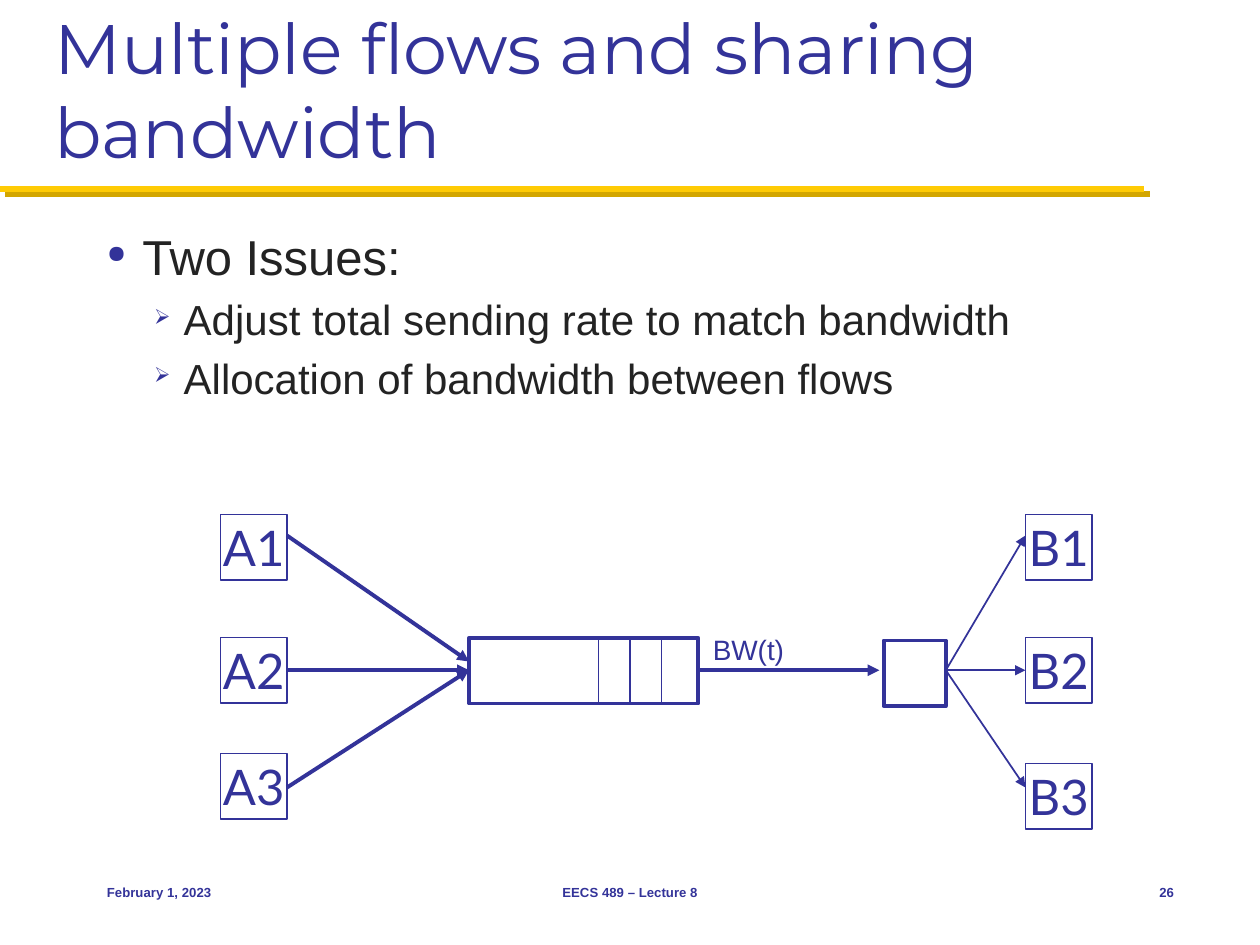
from dataclasses import dataclass
from lxml.etree import SubElement
from pptx import Presentation
from pptx.dml.color import RGBColor
from pptx.enum.shapes import MSO_CONNECTOR, MSO_SHAPE
from pptx.enum.text import MSO_ANCHOR, PP_ALIGN
from pptx.oxml.ns import qn
from pptx.util import Pt

COLORS = {"navy": "333399", "text": "232323", "gold": "FFCB05",
          "dark_gold": "D3A600", "white": "FFFFFF"}
HOST_W, BOX_H = 38, 37.5
SENDER_X, RECEIVER_X = 126, 586
QUEUE_X, QUEUE_W = 268, 131
ROUTER_X, ROUTER_W = 505, 35.5
MID_Y = 383


@dataclass
class Host:
    """A sender or receiver box."""
    name: str
    x: float
    y: float


@dataclass
class Line:
    """A straight line, with or without an arrowhead."""
    x1: float
    y1: float
    x2: float
    y2: float
    width: float = 2.25
    color: str = "navy"
    arrow: bool = True


@dataclass
class Label:
    """A text box holding one run."""
    text: str
    x: float
    y: float
    w: float
    h: float
    size: float
    font: str = "Arial"
    bold: bool = False
    align: PP_ALIGN = PP_ALIGN.LEFT
    anchor: MSO_ANCHOR = MSO_ANCHOR.MIDDLE
    wrap: bool = True


@dataclass
class Bullet:
    """A bulleted paragraph."""
    text: str
    level: int
    size: float
    char: str
    margin: float
    hang: float


def rgb(name: str) -> RGBColor:
    """Look up a colour of the palette."""
    return RGBColor.from_string(COLORS[name])


def add_run(p, text: str, size: float, font: str, color: str = "navy", bold: bool = False) -> None:
    """Append a formatted run to a paragraph."""
    r = p.add_run()
    r.text = text
    r.font.size, r.font.name, r.font.bold = Pt(size), font, bold
    r.font.color.rgb = rgb(color)


def add_label(s, label: Label) -> None:
    """Draw a text box."""
    sp = s.shapes.add_textbox(Pt(label.x), Pt(label.y), Pt(label.w), Pt(label.h))
    tf = sp.text_frame
    tf.word_wrap, tf.vertical_anchor = label.wrap, label.anchor
    p = tf.paragraphs[0]
    p.alignment = label.align
    add_run(p, label.text, label.size, label.font, bold=label.bold)


def add_bullets(s, bullets: list[Bullet]) -> None:
    """Draw the bulleted body text."""
    tf = s.shapes.add_textbox(Pt(54), Pt(126), Pt(624), Pt(348)).text_frame
    tf.word_wrap = True
    for i, b in enumerate(bullets):
        p = tf.add_paragraph() if i else tf.paragraphs[0]
        p.level = b.level
        pPr = p._p.get_or_add_pPr()
        pPr.set("marL", str(Pt(b.margin)))
        pPr.set("indent", str(-Pt(b.hang)))
        before = SubElement(pPr, qn("a:spcBef"))
        SubElement(before, qn("a:spcPct"), val="20000")
        color = SubElement(pPr, qn("a:buClr"))
        SubElement(color, qn("a:srgbClr"), val=COLORS["navy"])
        SubElement(pPr, qn("a:buSzPct"), val="50000")
        SubElement(pPr, qn("a:buChar"), char=b.char)
        add_run(p, b.text, b.size, "Arial", "text")


def add_box(s, x: float, y: float, w: float, line_width: float = 2.25):
    """Draw a white box with a navy outline."""
    sp = s.shapes.add_shape(MSO_SHAPE.RECTANGLE, Pt(x), Pt(y), Pt(w), Pt(BOX_H))
    sp.shadow.inherit = False
    sp.fill.solid()
    sp.fill.fore_color.rgb = rgb("white")
    sp.line.color.rgb = rgb("navy")
    sp.line.width = Pt(line_width)
    return sp


def add_host(s, host: Host) -> None:
    """Draw a named host box."""
    tf = add_box(s, host.x, host.y, HOST_W, 0.75).text_frame
    tf.word_wrap, tf.vertical_anchor = False, MSO_ANCHOR.MIDDLE
    tf.margin_left = tf.margin_right = Pt(4.5)
    tf.margin_top = tf.margin_bottom = Pt(2.25)
    p = tf.paragraphs[0]
    p.alignment = PP_ALIGN.CENTER
    add_run(p, host.name, 28, "Lato")


def add_line(s, line: Line) -> None:
    """Draw a line or an arrow."""
    c = s.shapes.add_connector(MSO_CONNECTOR.STRAIGHT, Pt(line.x1), Pt(line.y1),
                               Pt(line.x2), Pt(line.y2))
    c.line.color.rgb = rgb(line.color)
    c.line.width = Pt(line.width)
    if line.arrow:
        SubElement(c.line._get_or_add_ln(), qn("a:tailEnd"), type="triangle")
    SubElement(c._element.spPr, qn("a:effectLst"))


prs = Presentation()
prs.slide_width, prs.slide_height = Pt(720), Pt(540)
s = prs.slides.add_slide(prs.slide_layouts[6])

for offset, color in ((3, "dark_gold"), (0, "gold")):
    add_line(s, Line(offset, 108 + offset, 654 + offset, 108 + offset, 3.5, color, False))
add_label(s, Label("Multiple flows and sharing bandwidth", 24, 12, 672, 90, 40,
                   "Montserrat", anchor=MSO_ANCHOR.BOTTOM))
add_bullets(s, [
    Bullet("Two Issues:", 0, 28, "●", 20.25, 20.25),
    Bullet("Adjust total sending rate to match bandwidth", 1, 24, "➢", 43.9, 16.9),
    Bullet("Allocation of bandwidth between flows", 1, 24, "➢", 43.9, 16.9),
])

for prefix, x, tops in (("A", SENDER_X, (294, 364.25, 430.5)),
                        ("B", RECEIVER_X, (294, 364.25, 436.25))):
    for number, top in enumerate(tops, 1):
        add_host(s, Host(f"{prefix}{number}", x, top))

add_box(s, QUEUE_X, 364.5, QUEUE_W)
add_box(s, ROUTER_X, 366, ROUTER_W)
for slot in range(3):
    x = 342 + 18 * slot
    add_line(s, Line(x, 364, x, 402, 1, arrow=False))

for start_y, queue_y in ((306, 378), (MID_Y, MID_Y), (450, MID_Y)):
    add_line(s, Line(SENDER_X + HOST_W, start_y, QUEUE_X, queue_y))
    add_line(s, Line(ROUTER_X + ROUTER_W, MID_Y, RECEIVER_X, start_y, 1))
add_line(s, Line(QUEUE_X + QUEUE_W, MID_Y, 502.5, MID_Y))
add_label(s, Label("BW(t)", 400.25, 358, 55.5, 26.5, 16, anchor=MSO_ANCHOR.TOP, wrap=False))

for text, x, w, align in (("February 1, 2023", 54, 150, PP_ALIGN.LEFT),
                          ("EECS 489 – Lecture 8", 246, 228, PP_ALIGN.CENTER),
                          ("26", 630, 48, PP_ALIGN.RIGHT)):
    add_label(s, Label(text, x, 492, w, 36, 7.5, bold=True, align=align))

prs.save("out.pptx")
